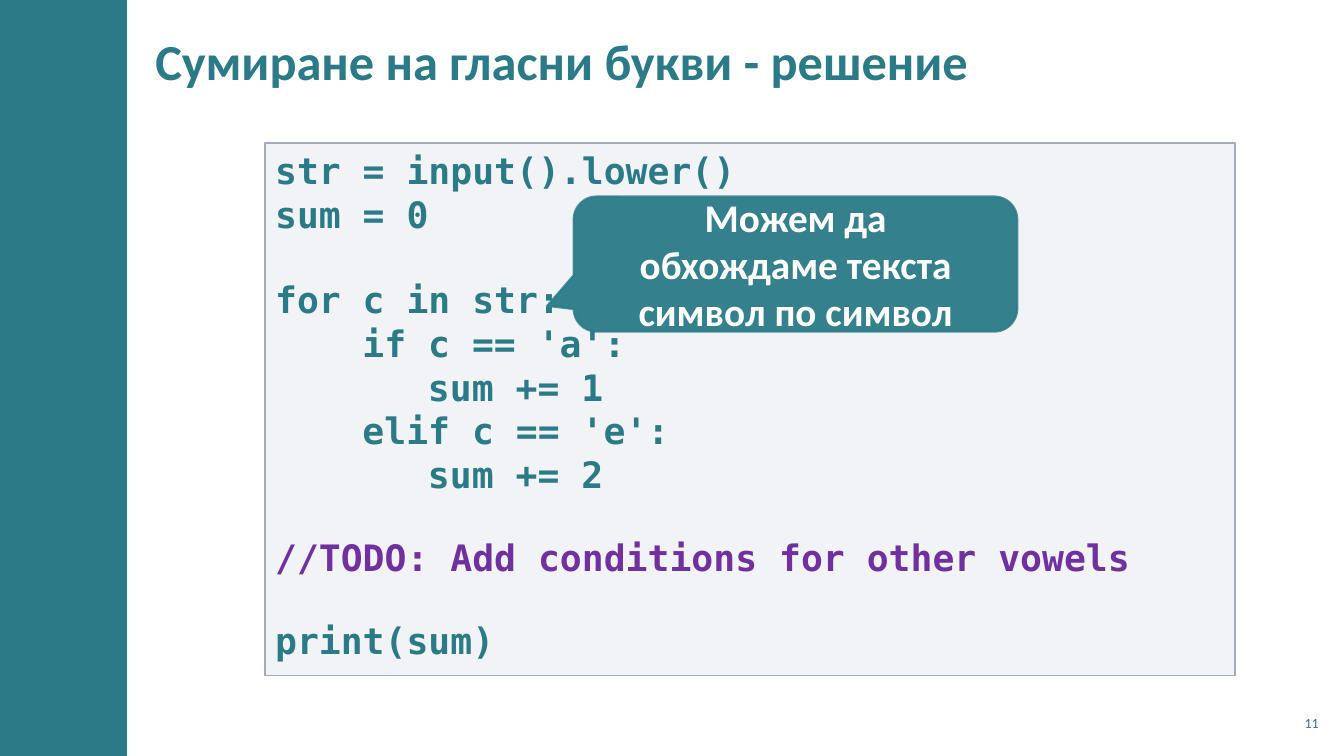
from lxml import etree
from pptx import Presentation
from pptx.dml.color import RGBColor
from pptx.enum import shapes, text
from pptx.oxml import ns
from pptx.util import Inches, Pt

TEAL = RGBColor(0x2A, 0x7A, 0x87)
PURPLE = RGBColor(0x70, 0x30, 0xA0)
WHITE = RGBColor(0xFF, 0xFF, 0xFF)
PANEL = RGBColor(0xC2, 0xC7, 0xD2)
PANEL_EDGE = RGBColor(0xA3, 0xAB, 0xBC)
BODY_FONT, CODE_FONT = "Calibri", "DejaVu Sans Mono"
CODE_SIZE = 26
CHAR_WIDTH = 0.6 * CODE_SIZE  # points per monospaced character

TITLE = "Сумиране на гласни букви - решение"
PAGE_NUMBER = "11"
TIP = "Можем да обхождаме\u00a0текста символ по символ"
# code line, indent in characters, gap above in points, colour
CODE = [
    ("str = input().lower()", 0, 0, TEAL),
    ("sum = 0", 0, 0, TEAL),
    ("for c in str:", 0, 30, TEAL),
    ("if c == 'a':", 4, 0, TEAL),
    ("sum += 1", 7, 0, TEAL),
    ("elif c == 'e':", 4, 0, TEAL),
    ("sum += 2", 7, 0, TEAL),
    ("//TODO: Add conditions for other vowels", 0, 28, PURPLE),
    ("print(sum)", 0, 28, TEAL),
]


def set_alpha(fill_parent, percent):
    """Make the solid fill under an element partly transparent."""
    color = fill_parent.find(ns.qn("a:solidFill"))[0]
    etree.SubElement(color, ns.qn("a:alpha")).set("val", str(percent * 1000))


def style(para, size, color, bold=True, font=BODY_FONT, align=text.PP_ALIGN.LEFT):
    """Set the font and alignment of a paragraph."""
    para.alignment = align
    para.font.name, para.font.size = font, Pt(size)
    para.font.bold, para.font.color.rgb = bold, color


def add_shape(page, kind, place, fill, alpha=100, edge=None, width=1):
    """Add a filled shape without shadow, outlined if an edge colour is given."""
    shape = page.shapes.add_shape(kind, *map(Inches, place))
    shape.shadow.inherit = False
    shape.fill.solid()
    shape.fill.fore_color.rgb = fill
    if alpha < 100:
        set_alpha(shape._element.spPr, alpha)
    if edge is None:
        shape.line.fill.background()
    else:
        shape.line.color.rgb, shape.line.width = edge, Pt(width)
    return shape


def add_label(page, place, words, side_inset, **look):
    """Add a one-paragraph text box, centred vertically."""
    frame = page.shapes.add_textbox(*map(Inches, place)).text_frame
    frame.word_wrap = True
    frame.vertical_anchor = text.MSO_ANCHOR.MIDDLE
    frame.margin_left = frame.margin_right = Inches(side_inset)
    frame.margin_top = frame.margin_bottom = Inches(0.04)
    frame.text = words
    style(frame.paragraphs[0], **look)


def add_code(page):
    """Add the code panel, one paragraph per line of code."""
    panel = add_shape(page, shapes.MSO_SHAPE.RECTANGLE, (2.63, 1.42, 9.62, 5.28),
                      PANEL, 20, PANEL_EDGE)
    frame = panel.text_frame
    frame.word_wrap = True
    frame.vertical_anchor = text.MSO_ANCHOR.TOP
    for index, (line, indent, gap, color) in enumerate(CODE):
        para = frame.add_paragraph() if index else frame.paragraphs[0]
        para.text = line
        style(para, CODE_SIZE, color, font=CODE_FONT)
        para.space_before = Pt(gap)
        para._p.get_or_add_pPr().set("marL", str(Pt(indent * CHAR_WIDTH)))


def add_tip(page):
    """Add the speech bubble that points at the loop."""
    tip = add_shape(page, shapes.MSO_SHAPE.ROUNDED_RECTANGULAR_CALLOUT,
                    (5.69, 1.95, 4.4, 1.34), TEAL, 95, TEAL, 1.5)
    set_alpha(tip.line._ln, 80)
    for index, value in enumerate((-0.56, 0.31, 0.17)):
        tip.adjustments[index] = value
    frame = tip.text_frame
    frame.word_wrap = True
    frame.vertical_anchor = text.MSO_ANCHOR.MIDDLE
    frame.text = TIP
    style(frame.paragraphs[0], 28, WHITE, align=text.PP_ALIGN.CENTER)


deck = Presentation()
deck.slide_width, deck.slide_height = Inches(13.33), Inches(7.5)
page = deck.slides.add_slide(deck.slide_layouts[6])
add_shape(page, shapes.MSO_SHAPE.RECTANGLE, (0, 0, 1.26, 7.5), TEAL)
add_label(page, (1.42, 0.11, 9.18, 0.97), TITLE, 0.12, size=36, color=TEAL)
add_label(page, (12.65, 7, 0.47, 0.34), PAGE_NUMBER, 0.04, size=10, color=TEAL,
          bold=False, align=text.PP_ALIGN.RIGHT)
add_code(page)
add_tip(page)
deck.save("out.pptx")
